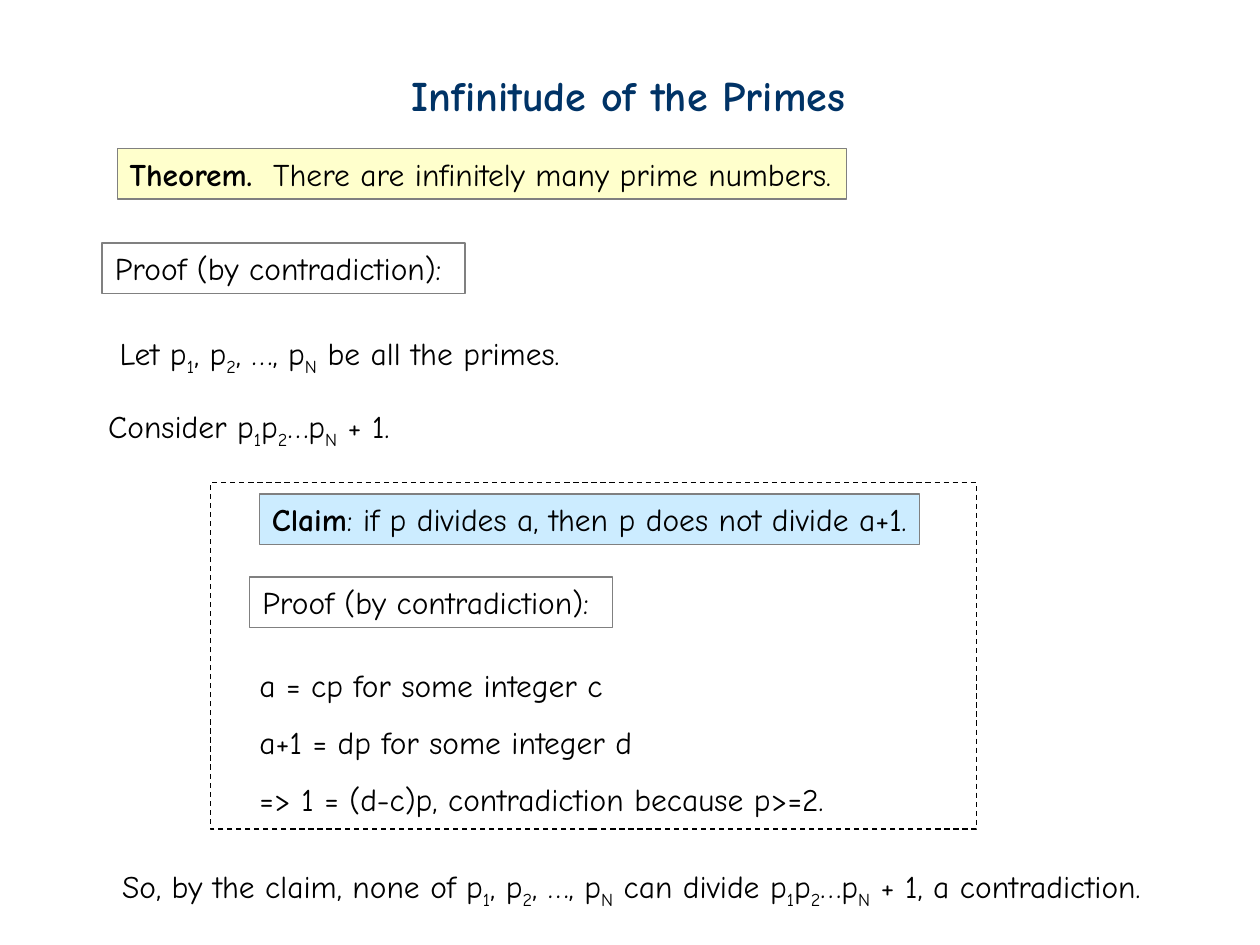
"""Build a slide proving that there are infinitely many primes."""
from dataclasses import dataclass
from typing import Optional

from lxml import etree
from pptx import Presentation
from pptx import util as u
from pptx.dml.color import RGBColor
from pptx.enum import dml, shapes, text
from pptx.oxml.ns import qn

CELL = u.Inches(0.1)
COLUMNS, ROWS = 100, 75
FONT = "Comic Neue"
BLACK, GREY, NAVY = "000000", "808080", "003366"
PRIMES = "p|1|, p|2|, …, p|N|"
PRODUCT = "p|1|p|2|…p|N| + 1"
PROOF = "Proof (by contradiction): "


@dataclass(frozen=True)
class Block:
    """Text on the grid; bars enclose subscripts and lead is bold."""
    left: float
    top: float
    width: float
    height: float
    lines: tuple[str, ...] = ()
    lead: str = ""
    size: int = 18
    color: str = BLACK
    border: Optional[str] = None
    fill: Optional[str] = None
    dashed: bool = False
    centered: bool = False
    tab: float = 0


BLOCKS = (
    Block(31.7, 5, 36.4, 5, lead="Infinitude of the Primes", lines=("",), size=24, color=NAVY),
    Block(9.3, 11.8, 57.9, 4, ("\tThere are infinitely many prime numbers.",),
          lead="Theorem.", border=GREY, fill="FFFFCC", tab=11.4),
    Block(20.6, 39.2, 52.4, 4, (": if p divides a, then p does not divide a+1.",),
          lead="Claim", border=GREY, fill="CCECFF"),
    Block(8.5, 26, 36.9, 4.4, (f"Let {PRIMES} be all the primes.",)),
    Block(7.6, 31.8, 24.3, 4.4, (f"Consider {PRODUCT}.",)),
    Block(8.1, 19.3, 28.8, 4, (PROOF,), border=GREY, centered=True),
    Block(19.8, 45.8, 28.8, 4, (PROOF,), border=GREY, centered=True),
    Block(19.6, 52.4, 46.8, 13, ("a = cp for some integer c",
                                 "a+1 = dp for some integer d",
                                 "=> 1 = (d-c)p, contradiction because p>=2.")),
    Block(8.7, 68.3, 82.9, 4.4,
          (f"So, by the claim, none of {PRIMES} can divide {PRODUCT}, a contradiction.",)),
    Block(16.7, 38.3, 60.8, 27.5, border=BLACK, dashed=True),
)


def rgb(value: str) -> RGBColor:
    """Turn a hex string into a colour."""
    return RGBColor.from_string(value)


def grid(count: float) -> u.Emu:
    """Convert a count of grid cells into a length."""
    return u.Emu(round(count * CELL))


def add_runs(p, line: str, lead: str) -> None:
    """Add the bold lead, then plain and subscript runs by turns."""
    if lead:
        r = p.add_run()
        r.text, r.font.bold = lead, True
    for i, part in enumerate(line.split("|")):
        if part:
            r = p.add_run()
            r.text = part
            if i % 2:
                r.font._element.set("baseline", "-25000")


def write(tf, block: Block) -> None:
    """Fill a text frame with the lines of a block."""
    tf.word_wrap = False
    tf.auto_size = text.MSO_AUTO_SIZE.SHAPE_TO_FIT_TEXT
    tf.vertical_anchor = text.MSO_ANCHOR.TOP
    for i, line in enumerate(block.lines):
        p = tf.add_paragraph() if i else tf.paragraphs[0]
        p.alignment = text.PP_ALIGN.CENTER if block.centered else text.PP_ALIGN.LEFT
        if i:
            p.line_spacing = 1.5
        if block.tab:
            tabs = etree.SubElement(p._p.get_or_add_pPr(), qn("a:tabLst"))
            etree.SubElement(tabs, qn("a:tab"), pos=str(grid(block.tab)), algn="l")
        p.font.name, p.font.size = FONT, u.Pt(block.size)
        p.font.color.rgb = rgb(block.color)
        add_runs(p, line, block.lead)


def add_block(s, block: Block) -> None:
    """Draw a block as a bordered rectangle or a plain text box."""
    box = [grid(n) for n in (block.left, block.top, block.width, block.height)]
    if block.border:
        sp = s.shapes.add_shape(shapes.MSO_SHAPE.RECTANGLE, *box)
        sp.shadow.inherit = False
        sp.line.color.rgb, sp.line.width = rgb(block.border), u.Pt(0.75)
        if block.dashed:
            sp.line.dash_style = dml.MSO_LINE.DASH
        if block.fill:
            sp.fill.solid()
            sp.fill.fore_color.rgb = rgb(block.fill)
        else:
            sp.fill.background()
    else:
        sp = s.shapes.add_textbox(*box)
    if block.lines:
        write(sp.text_frame, block)


def main() -> None:
    """Build and save the slide."""
    prs = Presentation()
    prs.slide_width, prs.slide_height = grid(COLUMNS), grid(ROWS)
    s = prs.slides.add_slide(prs.slide_layouts[6])
    for block in BLOCKS:
        add_block(s, block)
    prs.save("out.pptx")


if __name__ == "__main__":
    main()
